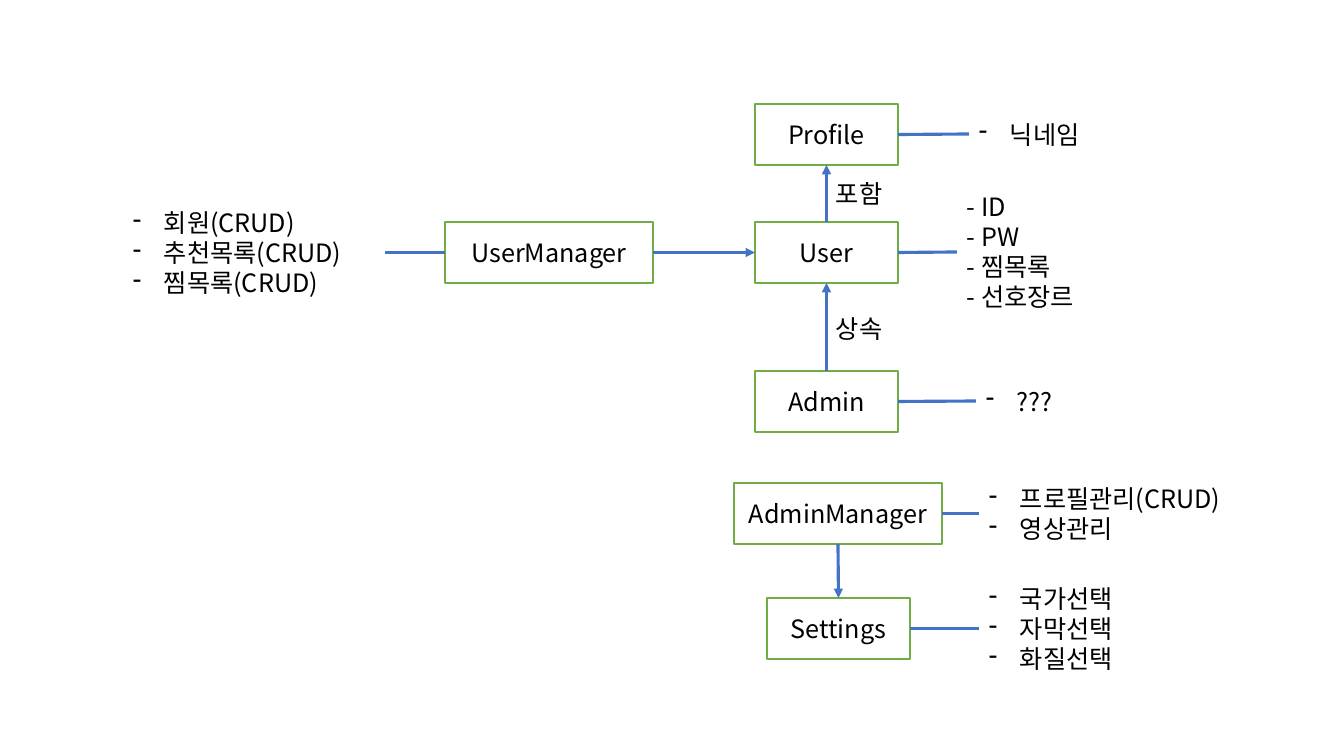
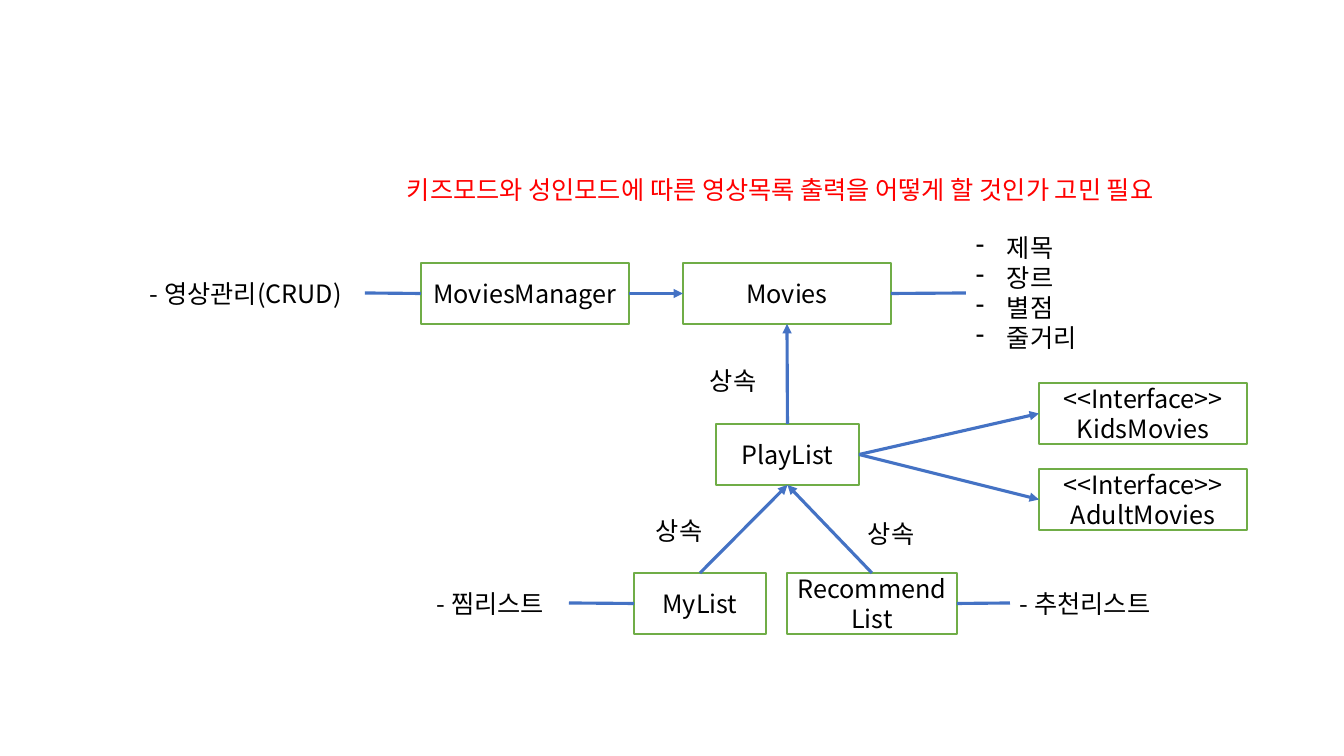
from lxml.etree import SubElement
from pptx import Presentation
from pptx.dml.color import RGBColor
from pptx.enum.shapes import MSO_CONNECTOR as Connector, MSO_SHAPE as Shape
from pptx.enum.text import MSO_ANCHOR as Anchor, PP_ALIGN as Align
from pptx.oxml.ns import qn
from pptx.util import Pt

PIXEL = 9071  # EMU in one pixel
FONT = "Noto Sans CJK KR"
WHITE = RGBColor(0xFF, 0xFF, 0xFF)
BLACK = RGBColor(0x00, 0x00, 0x00)
RED = RGBColor(0xFF, 0x00, 0x00)
GREEN = RGBColor(0x70, 0xAD, 0x47)
BLUE = RGBColor(0x44, 0x72, 0xC4)

NARROW, WIDE, BOX_HEIGHT = 143, 208, 61
LABEL_WIDTH, LABEL_HEIGHT = 72, 40
BULLET_INDENT = 31
TOP, LEFT, BOTTOM, RIGHT = range(4)  # connection sites of a rectangle
OPPOSITE = {LEFT: RIGHT, RIGHT: LEFT}

# boxes: name -> (left, top, width, lines)
# arrows: (from box, site, to box, site)
# notes: (box, side, left, width, bulleted, lines)
# labels: (left, top, width, text, colour)
USER_SLIDE = {
    "boxes": {
        "profile": (755, 104, NARROW, ["Profile"]),
        "user": (755, 222, NARROW, ["User"]),
        "admin": (755, 371, NARROW, ["Admin"]),
        "user manager": (445, 222, WIDE, ["UserManager"]),
        "admin manager": (734, 483, WIDE, ["AdminManager"]),
        "settings": (767, 598, NARROW, ["Settings"]),
    },
    "arrows": [
        ("user", TOP, "profile", BOTTOM),
        ("admin", TOP, "user", BOTTOM),
        ("user manager", RIGHT, "user", LEFT),
        ("admin manager", BOTTOM, "settings", TOP),
    ],
    "notes": [
        ("profile", RIGHT, 969, 128, True, ["닉네임"]),
        ("user", RIGHT, 957, 141, False,
         ["- ID", "- PW", "- 찜목록", "- 선호장르"]),
        ("admin", RIGHT, 976, 87, True, ["???"]),
        ("user manager", LEFT, 123, 262, True,
         ["회원(CRUD)", "추천목록(CRUD)", "찜목록(CRUD)"]),
        ("admin manager", RIGHT, 979, 263, True,
         ["프로필관리(CRUD)", "영상관리"]),
        ("settings", RIGHT, 979, 154, True,
         ["국가선택", "자막선택", "화질선택"]),
    ],
    "labels": [
        (826, 173, LABEL_WIDTH, "포함", BLACK),
        (826, 308, LABEL_WIDTH, "상속", BLACK),
    ],
}
MOVIE_SLIDE = {
    "boxes": {
        "manager": (421, 263, WIDE, ["MoviesManager"]),
        "movies": (683, 263, WIDE, ["Movies"]),
        "kids": (1039, 383, WIDE, ["<<Interface>>", "KidsMovies"]),
        "adult": (1039, 469, WIDE, ["<<Interface>>", "AdultMovies"]),
        "playlist": (716, 424, NARROW, ["PlayList"]),
        "my list": (634, 573, 132, ["MyList"]),
        "recommend": (787, 573, 170, ["RecommendList"]),
    },
    "arrows": [
        ("manager", RIGHT, "movies", LEFT),
        ("playlist", TOP, "movies", BOTTOM),
        ("playlist", RIGHT, "kids", LEFT),
        ("playlist", RIGHT, "adult", LEFT),
        ("my list", TOP, "playlist", BOTTOM),
        ("recommend", TOP, "playlist", BOTTOM),
    ],
    "notes": [
        ("manager", LEFT, 140, 225, False, ["- 영상관리(CRUD)"]),
        ("movies", RIGHT, 966, 148, True, ["제목", "장르", "별점", "줄거리"]),
        ("my list", LEFT, 427, 142, False, ["- 찜리스트"]),
        ("recommend", RIGHT, 1010, 167, False, ["- 추천리스트"]),
    ],
    "labels": [
        (397, 169, 865,
         "키즈모드와 성인모드에 따른 영상목록 출력을 어떻게 할 것인가 고민 필요", RED),
        (700, 360, LABEL_WIDTH, "상속", BLACK),
        (646, 510, LABEL_WIDTH, "상속", BLACK),
        (858, 513, LABEL_WIDTH, "상속", BLACK),
    ],
}


def emu(*pixels):
    """Turn pixel lengths into EMU."""
    return [pixel * PIXEL for pixel in pixels]


def write_lines(frame, lines, color=BLACK, align=Align.LEFT, bulleted=False):
    """Fill a text frame with one paragraph a line."""
    frame.word_wrap = True
    for index, line in enumerate(lines):
        para = frame.add_paragraph() if index else frame.paragraphs[0]
        para.alignment = align
        para.line_spacing = Pt(21.6)
        span = para.add_run()
        span.text = line
        for key, value in {"name": FONT, "size": Pt(18)}.items():
            setattr(span.font, key, value)
        span.font.color.rgb = color
        SubElement(span.font._element, qn("a:ea"), typeface=FONT)
        if bulleted:
            props = para._p.get_or_add_pPr()
            indent = BULLET_INDENT * PIXEL
            props.set("marL", str(indent))
            props.set("indent", str(-indent))
            SubElement(props, qn("a:buChar"), char="-")


def add_box(page, left, top, width, lines):
    """Add a green-edged class box."""
    box = page.shapes.add_shape(
        Shape.RECTANGLE, *emu(left, top, width, BOX_HEIGHT))
    box.shadow.inherit = False
    box.fill.solid()
    box.fill.fore_color.rgb = WHITE
    box.line.color.rgb = GREEN
    box.line.width = Pt(1)
    box.text_frame.vertical_anchor = Anchor.MIDDLE
    write_lines(box.text_frame, lines, align=Align.CENTER)
    return box


def add_text(page, left, top, width, height, lines, **style):
    """Add a plain text box."""
    box = page.shapes.add_textbox(*emu(left, top, width, height))
    write_lines(box.text_frame, lines, **style)
    return box


def add_note(page, box, left, width, bulleted, lines):
    """Add a list of members level with the middle of its box."""
    height = (20 + 61 * len(lines)) // 2
    middle = (box.top + box.height // 2) // PIXEL
    return add_text(page, left, middle - height // 2, width, height, lines,
                    bulleted=bulleted)


def connect(page, start, start_site, end, end_site, arrow=False):
    """Join two shapes with a blue line, with an arrowhead if asked."""
    line = page.shapes.add_connector(Connector.STRAIGHT, 0, 0, 0, 0)
    line.begin_connect(start, start_site)
    line.end_connect(end, end_site)
    line.line.color.rgb = BLUE
    line.line.width = Pt(2.25)
    if arrow:
        SubElement(line.line._get_or_add_ln(), qn("a:tailEnd"), type="triangle")
    SubElement(line._element.spPr, qn("a:effectLst"))


def build_slide(deck, content):
    """Build one class diagram."""
    page = deck.slides.add_slide(deck.slide_layouts[6])
    boxes = {name: add_box(page, *values)
             for name, values in content["boxes"].items()}
    for start, start_site, end, end_site in content["arrows"]:
        connect(page, boxes[start], start_site, boxes[end], end_site, True)
    for name, side, *values in content["notes"]:
        note = add_note(page, boxes[name], *values)
        connect(page, boxes[name], side, note, OPPOSITE[side])
    for left, top, width, text, color in content["labels"]:
        add_text(page, left, top, width, LABEL_HEIGHT, [text], color=color)


deck = Presentation()
deck.slide_width, deck.slide_height = emu(1344, 756)
for slide_content in (USER_SLIDE, MOVIE_SLIDE):
    build_slide(deck, slide_content)
deck.save("out.pptx")
